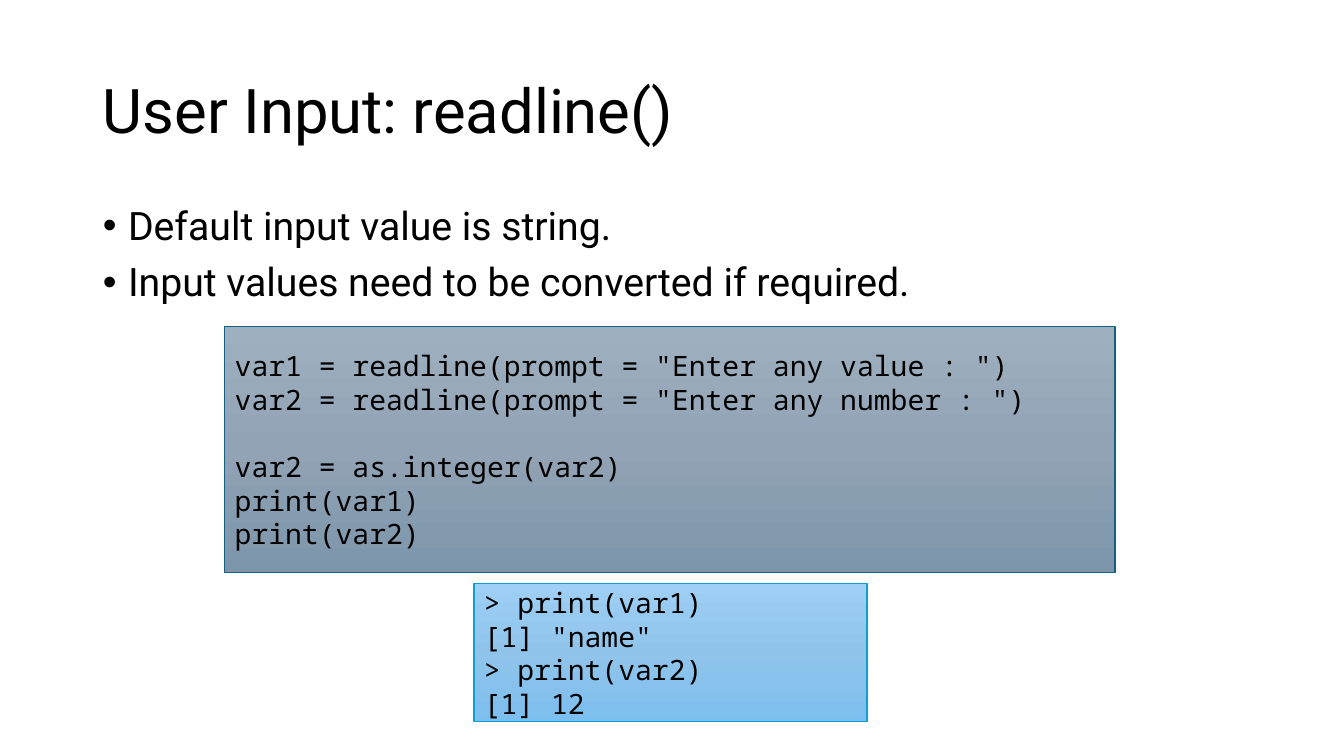
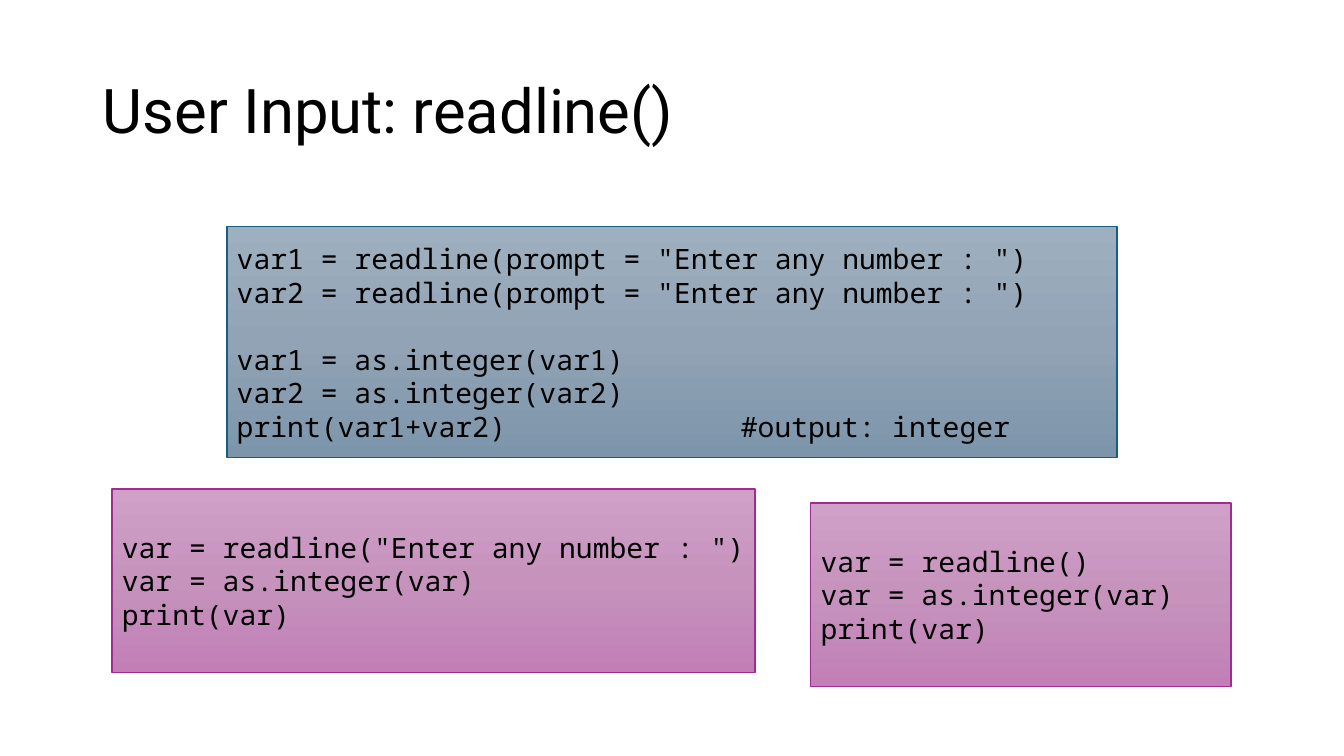
from dataclasses import dataclass

from lxml.etree import SubElement
from pptx import Presentation
from pptx.dml.color import RGBColor
from pptx.enum.shapes import MSO_SHAPE
from pptx.enum.text import MSO_ANCHOR, MSO_AUTO_SIZE, PP_ALIGN
from pptx.oxml.ns import qn
from pptx.util import Emu, Pt

EMU_PER_PX = 9144  # 100 px to the inch


@dataclass(frozen=True)
class Palette:
    stops: tuple
    line: str


@dataclass(frozen=True)
class Theme:
    ink: str = "000000"
    text_font: str = "Roboto"
    code_font: str = "Noto Sans Mono"
    title_size: int = 44
    body_size: int = 28
    code_size: int = 20
    code_line: int = 24
    slate: Palette = Palette(("9EAFBF", "91A3B4", "7C95AB"), "156082")
    sky: Palette = Palette(("9ECFF5", "90C4EB", "7CBEED"), "0F9ED5")
    orchid: Palette = Palette(("D0A0C8", "C693BD", "C17FB6"), "A02B93")


THEME = Theme()
PAGE_SIZE = (1333, 750)
TITLE_BOX = (92, 40, 1150, 145)
BODY_BOX = (92, 200, 1150, 476)
COMMENT_TAB = 500
BULLET_INDENT = 25
TITLE = "User Input: readline()"


def px(length):
    return Emu(length * EMU_PER_PX)


def place(shape, box):
    shape.left, shape.top, shape.width, shape.height = map(px, box)


def add_span(para, text, font, size):
    span = para.add_run()
    span.text = text
    span.font.name = font
    span.font.size = Pt(size)
    span.font.color.rgb = RGBColor.from_string(THEME.ink)


def add_paragraphs(frame, lines):
    """Yield one left-aligned paragraph with each line."""
    for index, line in enumerate(lines):
        para = frame.add_paragraph() if index else frame.paragraphs[0]
        para.alignment = PP_ALIGN.LEFT
        yield para, line


def fill_placeholder(holder, box, lines, size, anchor):
    place(holder, box)
    frame = holder.text_frame
    frame.word_wrap = True
    frame.auto_size = MSO_AUTO_SIZE.NONE
    frame.vertical_anchor = anchor
    for para, line in add_paragraphs(frame, lines):
        para.line_spacing = 0.9
        add_span(para, line, THEME.text_font, size)


# Title and bullets
def add_page(deck, layout_name):
    page = deck.slides.add_slide(deck.slide_layouts.get_by_name(layout_name))
    fill_placeholder(page.shapes.title, TITLE_BOX, [TITLE],
                     THEME.title_size, MSO_ANCHOR.MIDDLE)
    return page


def add_bullets(page, box, lines):
    holder = page.placeholders[1]
    fill_placeholder(holder, box, lines, THEME.body_size, MSO_ANCHOR.TOP)
    for para in holder.text_frame.paragraphs:
        para.space_before = Pt(10)
        properties = para._p.get_or_add_pPr()
        properties.set("marL", str(px(BULLET_INDENT)))
        properties.set("indent", str(px(-BULLET_INDENT)))
        SubElement(properties, qn("a:buFont"), typeface="Arial")
        SubElement(properties, qn("a:buChar"), char="•")


# Code panels
def shade(shape, palette):
    shape.fill.gradient()
    shape.fill.gradient_angle = 270
    stops = shape._element.spPr.find(".//" + qn("a:gsLst"))
    for stop in list(stops):
        stops.remove(stop)
    step = 100000 // (len(palette.stops) - 1)
    for index, color in enumerate(palette.stops):
        stop = SubElement(stops, qn("a:gs"), pos=str(index * step))
        SubElement(stop, qn("a:srgbClr"), val=color)
    shape.line.color.rgb = RGBColor.from_string(palette.line)
    shape.line.width = Pt(1)


def add_code_panel(page, box, palette, *blocks):
    """Draw blocks of code, set apart by the height of one line."""
    panel = page.shapes.add_shape(MSO_SHAPE.RECTANGLE, *map(px, box))
    panel.shadow.inherit = False
    shade(panel, palette)
    frame = panel.text_frame
    frame.word_wrap = True
    frame.vertical_anchor = MSO_ANCHOR.MIDDLE
    block_starts = {id(block[0]) for block in blocks[1:]}
    lines = [line for block in blocks for line in block]
    for para, line in add_paragraphs(frame, lines):
        if id(line) in block_starts:
            para.space_before = Pt(THEME.code_line)
        if "\t" in line:
            tabs = SubElement(para._p.get_or_add_pPr(), qn("a:tabLst"))
            SubElement(tabs, qn("a:tab"), pos=str(px(COMMENT_TAB)), algn="l")
        add_span(para, line, THEME.code_font, THEME.code_size)


# Slides
def build_conversion_page(deck):
    page = add_page(deck, "Title and Content")
    add_bullets(page, BODY_BOX, [
        "Default input value is string.",
        "Input values need to be converted if required.",
    ])
    add_code_panel(
        page, (223, 324, 883, 244), THEME.slate,
        ['var1 = readline(prompt = "Enter any value : ")',
         'var2 = readline(prompt = "Enter any number : ")'],
        ["var2 = as.integer(var2)", "print(var1)", "print(var2)"])
    add_code_panel(
        page, (470, 579, 390, 137), THEME.sky,
        ["> print(var1)", '[1] "name"', "> print(var2)", "[1] 12"])


def build_examples_page(deck):
    page = add_page(deck, "Title Only")
    add_code_panel(
        page, (225, 225, 883, 229), THEME.slate,
        [f'{name} = readline(prompt = "Enter any number : ")'
         for name in ("var1", "var2")],
        ["var1 = as.integer(var1)", "var2 = as.integer(var2)",
         "print(var1+var2)\t#output: integer"])
    for box, prompt in (((111, 485, 638, 182), '"Enter any number : "'),
                        ((804, 499, 417, 182), "")):
        add_code_panel(page, box, THEME.orchid,
                       [f"var = readline({prompt})",
                        "var = as.integer(var)", "print(var)"])


def main():
    deck = Presentation()
    deck.slide_width, deck.slide_height = map(px, PAGE_SIZE)
    build_conversion_page(deck)
    build_examples_page(deck)
    deck.save("out.pptx")


if __name__ == "__main__":
    main()
